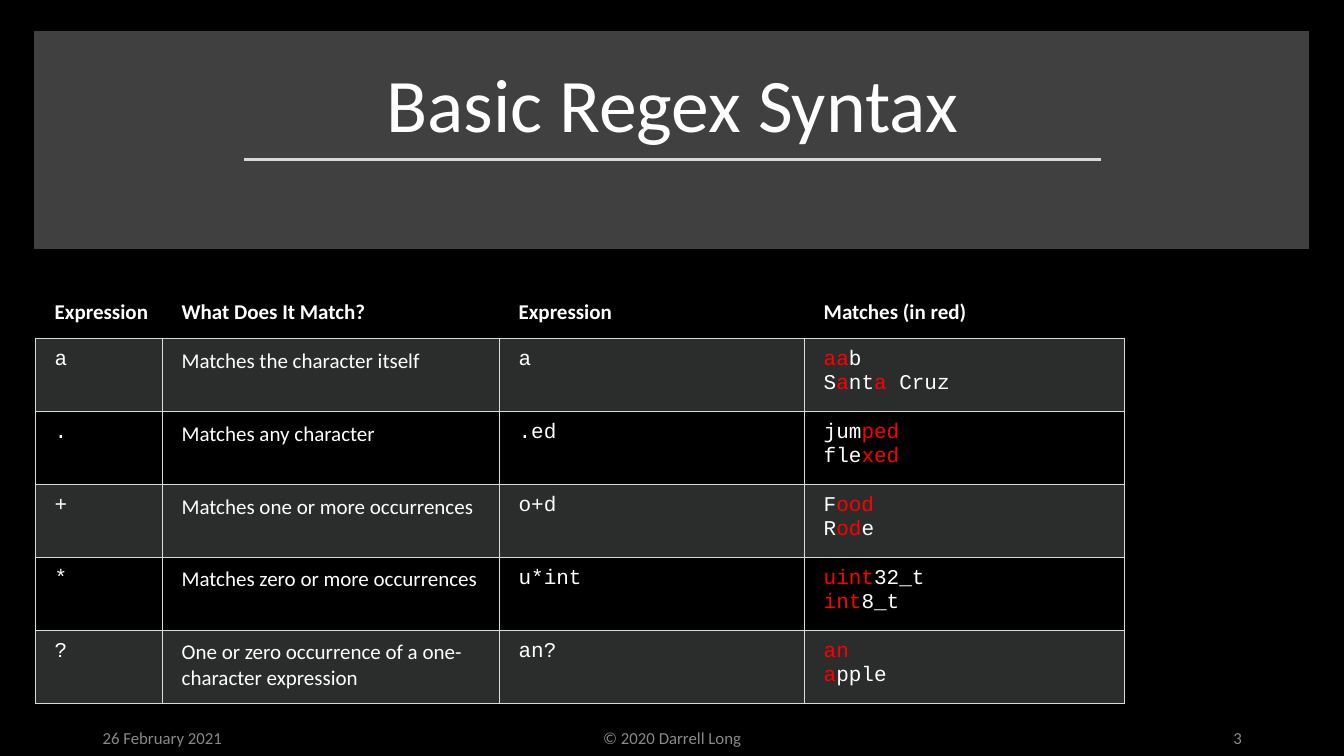
from dataclasses import dataclass

from lxml.etree import SubElement
from pptx import Presentation
from pptx.dml.color import RGBColor as RGB
from pptx.enum.shapes import MSO_CONNECTOR as Connector, MSO_SHAPE as Shape
from pptx.enum.text import MSO_ANCHOR as Anchor, MSO_AUTO_SIZE as AutoSize, PP_ALIGN as Align
from pptx.oxml.ns import qn
from pptx.util import Pt

TITLE = "Basic Regex Syntax"
HEADERS = ["Expression", "What Does It Match?", "Expression", "Matches (in red)"]
# Parts between bars are the matched characters, shown in red.
RULES = [
    ("a", "Matches the character itself", "a", ["|aa|b", "S|a|nt|a| Cruz"]),
    (".", "Matches any character", ".ed", ["jum|ped|", "fle|xed|"]),
    ("+", "Matches one or more occurrences", "o+d", ["F|ood|", "R|od|e"]),
    ("*", "Matches zero or more occurrences", "u*int", ["|uint|32_t", "|int|8_t"]),
    ("?", "One or zero occurrence of a one-character expression", "an?",
     ["|an|", "|a|pple"]),
]
FOOTERS = [  # text, left, width, alignment
    ("26 February 2021", 66.2, 216, Align.LEFT),
    ("© 2020 Darrell Long", 318.2, 324, Align.CENTER),
    ("3", 678.2, 216, Align.RIGHT),
]
COLUMN_WIDTHS = [90.7, 240.7, 217.9, 228.7]
HEADER_HEIGHT, ROW_HEIGHT = 34.6, 52.1
TABLE_LEFT, TABLE_TOP = 25.2, 207.2
NO_STYLE_NO_GRID = "{2D5ABB26-0587-4C30-8999-92F81FD0307C}"


@dataclass(frozen=True)
class Theme:
    background: str = "000000"
    banner: str = "404040"
    text: str = "FFFFFF"
    match: str = "FF0000"
    rule: str = "D9D9D9"
    footer: str = "898989"
    border: str = "D8DCDC"
    band: str = "D8DEDC"
    band_opacity: int = 20
    sans: str = "Calibri"
    code: str = "Courier New"
    title_size: float = 54
    table_size: float = 15
    footer_size: float = 12


theme = Theme()


def set_font(font, name, size, color, bold=False):
    font.name, font.size, font.bold = name, Pt(size), bold
    font.color.rgb = RGB.from_string(color)


def add_banner(slide):
    banner = slide.shapes.add_shape(Shape.RECTANGLE, Pt(29.5), Pt(27.4), Pt(900.7), Pt(145.4))
    banner.shadow.inherit = False
    banner.fill.solid()
    banner.fill.fore_color.rgb = RGB.from_string(theme.banner)
    banner.line.color.rgb = RGB.from_string(theme.banner)
    banner.line.width = Pt(10)
    SubElement(banner.line._get_or_add_ln(), qn("a:miter"), lim="800000")
    # The title placeholder exists already, so the banner moves behind it.
    slide.shapes._spTree.insert(2, banner._element)


def add_title(slide):
    title = slide.shapes.title
    title.left, title.top, title.width, title.height = Pt(41.8), Pt(36.7), Pt(877), Pt(73.4)
    frame = title.text_frame
    frame.text = TITLE
    frame.auto_size = AutoSize.NONE
    frame.vertical_anchor = Anchor.BOTTOM
    para = frame.paragraphs[0]
    para.alignment, para.line_spacing = Align.CENTER, 0.9
    set_font(para.font, theme.sans, theme.title_size, theme.text)

    rule = slide.shapes.add_connector(Connector.STRAIGHT, Pt(174.2), Pt(113.8), Pt(786.2), Pt(113.8))
    rule.line.color.rgb = RGB.from_string(theme.rule)
    rule.line.width = Pt(1.75)
    SubElement(rule._element.spPr, qn("a:effectLst"))


def add_footers(slide):
    for text, left, width, alignment in FOOTERS:
        box = slide.shapes.add_textbox(Pt(left), Pt(513.4), Pt(width), Pt(27.4))
        frame = box.text_frame
        frame.word_wrap = True
        frame.vertical_anchor = Anchor.MIDDLE
        frame.text = text
        para = frame.paragraphs[0]
        para.alignment, para.space_after = alignment, Pt(6)
        set_font(para.font, theme.sans, theme.footer_size, theme.footer)


def set_borders(cell, sides):
    properties = cell._tc.get_or_add_tcPr()
    for side in sides:
        line = SubElement(properties, qn(f"a:ln{side}"), w=str(Pt(0.75)))
        fill = SubElement(line, qn("a:solidFill"))
        SubElement(fill, qn("a:srgbClr"), val=theme.border)


def set_band(cell):
    cell.fill.solid()
    cell.fill.fore_color.rgb = RGB.from_string(theme.band)
    color = cell._tc.tcPr.find(f".//{qn('a:solidFill')}[last()]")
    color = cell._tc.tcPr.find(f"{qn('a:solidFill')}/{qn('a:srgbClr')}")
    SubElement(color, qn("a:alpha"), val=str(theme.band_opacity * 1000))


def fill_text(cell, lines, font_name, bold):
    cell.margin_left = Pt(13.9)
    cell.margin_top = cell.margin_right = cell.margin_bottom = Pt(7)
    frame = cell.text_frame
    for number, line in enumerate(lines):
        para = frame.add_paragraph() if number else frame.paragraphs[0]
        set_font(para.font, font_name, theme.table_size, theme.text, bold)
        for index, part in enumerate(line.split("|")):
            if part:
                span = para.add_run()
                span.text = part
                if index % 2:
                    span.font.color.rgb = RGB.from_string(theme.match)


def add_table(slide):
    rows = [HEADERS, *RULES]
    heights = [HEADER_HEIGHT] + [ROW_HEIGHT] * len(RULES)
    frame = slide.shapes.add_table(len(rows), len(HEADERS), Pt(TABLE_LEFT), Pt(TABLE_TOP),
                                   Pt(sum(COLUMN_WIDTHS)), Pt(sum(heights)))
    table = frame.table
    table._tbl.tblPr.find(qn("a:tableStyleId")).text = NO_STYLE_NO_GRID
    for column, width in zip(table.columns, COLUMN_WIDTHS):
        column.width = Pt(width)
    for row_index, (values, height) in enumerate(zip(rows, heights)):
        table.rows[row_index].height = Pt(height)
        is_header = row_index == 0
        for column_index, value in enumerate(values):
            cell = table.cell(row_index, column_index)
            lines = value if isinstance(value, list) else [value]
            font_name = theme.sans if is_header or column_index == 1 else theme.code
            fill_text(cell, lines, font_name, is_header)
            set_borders(cell, "B" if is_header else "LRTB")
            if row_index % 2:
                set_band(cell)
            else:
                cell.fill.background()


def main():
    deck = Presentation()
    deck.slide_width, deck.slide_height = Pt(960), Pt(540)
    slide = deck.slides.add_slide(deck.slide_layouts[5])
    slide.background.fill.solid()
    slide.background.fill.fore_color.rgb = RGB.from_string(theme.background)
    add_banner(slide)
    add_title(slide)
    add_footers(slide)
    add_table(slide)
    deck.save("out.pptx")


if __name__ == "__main__":
    main()
